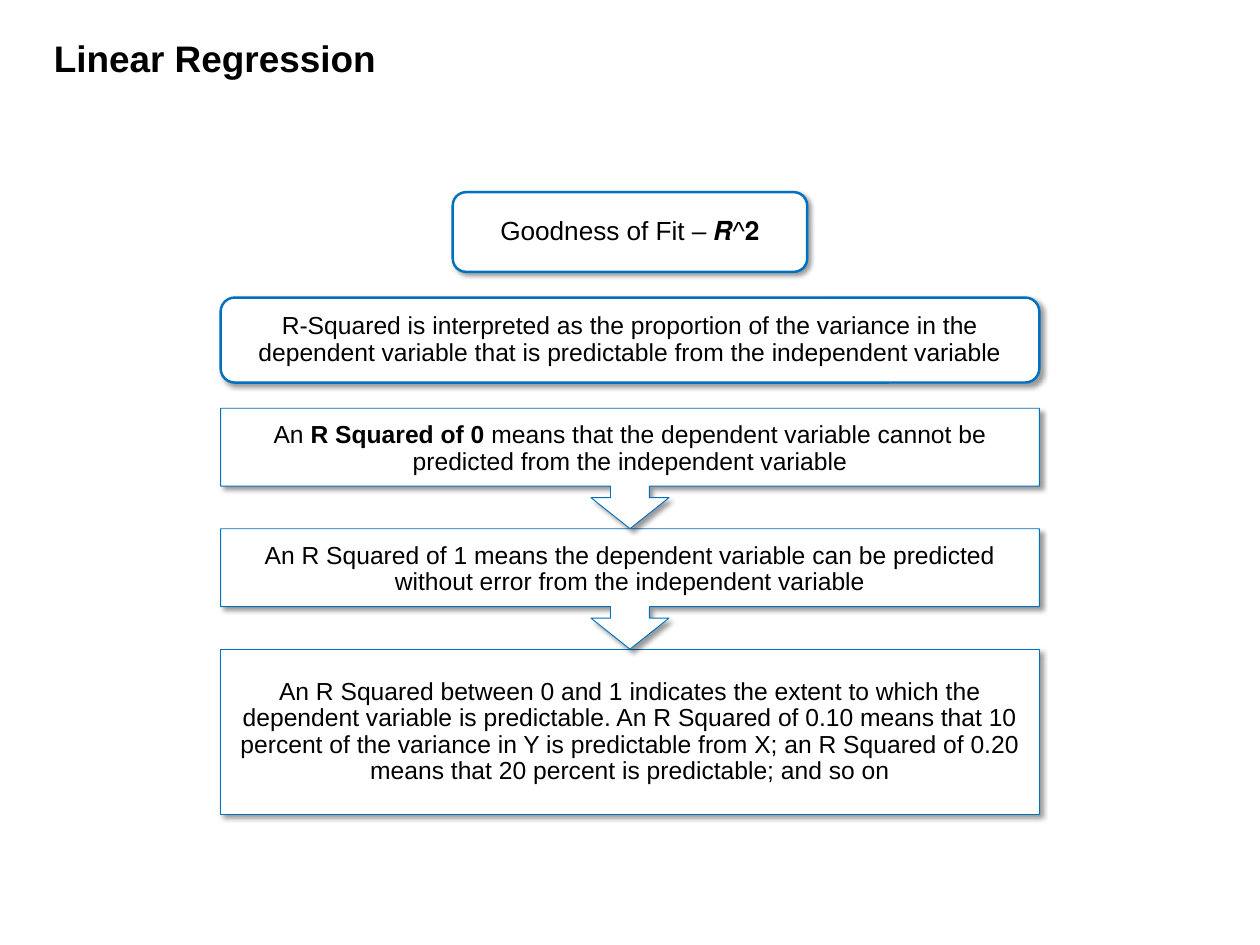
import pptx
import pptx.dml.color
import pptx.enum.shapes
import pptx.enum.text
import pptx.oxml
import pptx.oxml.ns
import pptx.util

Inches = pptx.util.Inches
Pt = pptx.util.Pt
SHAPES = pptx.enum.shapes.MSO_SHAPE
BLACK, WHITE, BLUE = "000000", "FFFFFF", "0070C0"
LEFT, WIDTH = 2.49, 9.24


def color(code):
    return pptx.dml.color.RGBColor.from_string(code)


class RegressionSlide:
    """Holds the style and the slide, and draws each kind of element."""

    font = "Arial"
    line_spacing = 0.9
    body_size = 20

    def __init__(self, slide):
        self.slide = slide

    def add_runs(self, frame, runs, size, align):
        frame.word_wrap = True
        paragraph = frame.paragraphs[0]
        paragraph.alignment = align
        paragraph.line_spacing = self.line_spacing
        for text, bold in runs:
            run = paragraph.add_run()
            run.text = text
            run.font.name = self.font
            run.font.size = Pt(size)
            run.font.bold = bold
            run.font.color.rgb = color(BLACK)

    def decorate(self, shape, line_width):
        shape.fill.solid()
        shape.fill.fore_color.rgb = color(WHITE)
        shape.line.color.rgb = color(BLUE)
        shape.line.width = Pt(line_width)
        shape.shadow.inherit = False
        effects = shape._element.spPr.find(pptx.oxml.ns.qn("a:effectLst"))
        effects.append(pptx.oxml.parse_xml(
            f'<a:outerShdw {pptx.oxml.ns.nsdecls("a")} blurRad="{Pt(4)}" dist="{Pt(3)}" '
            f'dir="{45 * 60000}" algn="tl" rotWithShape="0">'
            f'<a:srgbClr val="{BLACK}"><a:alpha val="40000"/></a:srgbClr></a:outerShdw>'))

    def fill_text(self, shape, runs, size, bottom=0.05):
        frame = shape.text_frame
        frame.vertical_anchor = pptx.enum.text.MSO_ANCHOR.MIDDLE
        frame.margin_top = Inches(min(bottom, 0.1))
        frame.margin_bottom = Inches(bottom)
        self.add_runs(frame, runs, size, pptx.enum.text.PP_ALIGN.CENTER)

    def title(self, text):
        box = self.slide.shapes.add_textbox(Inches(0.51), Inches(0.41), Inches(7.34), Inches(0.56))
        self.add_runs(box.text_frame, [(text, True)], 30, pptx.enum.text.PP_ALIGN.LEFT)

    def box(self, kind, left, top, width, height, runs, line_width, size=body_size):
        shape = self.slide.shapes.add_shape(
            kind, Inches(left), Inches(top), Inches(width), Inches(height))
        self.decorate(shape, line_width)
        self.fill_text(shape, runs, size)

    def arrow_box(self, top, runs):
        center, right = LEFT + WIDTH / 2, LEFT + WIDTH
        base, head, tip = top + 0.88, top + 1.01, top + 1.36
        stem, wing = 0.22, 0.44
        outline = [
            (right, base), (center + stem, base), (center + stem, head),
            (center + wing, head), (center, tip), (center - wing, head),
            (center - stem, head), (center - stem, base), (LEFT, base),
            (LEFT, top), (right, top),
        ]
        points = [(Inches(x), Inches(y)) for x, y in outline]
        builder = self.slide.shapes.build_freeform(*points[0])
        builder.add_line_segments(points[1:], close=True)
        shape = builder.convert_to_shape()
        self.decorate(shape, 0.75)
        self.fill_text(shape, runs, self.body_size, bottom=0.54)


def main():
    deck = pptx.Presentation()
    deck.slide_width, deck.slide_height = Inches(14.22), Inches(10.67)
    page = RegressionSlide(deck.slides.add_slide(deck.slide_layouts[6]))

    page.box(SHAPES.ROUNDED_RECTANGLE, 5.11, 2.17, 4, 0.9,
             [("Goodness of Fit – 𝑹^𝟐", False)], 2, size=21.3)
    page.box(SHAPES.ROUNDED_RECTANGLE, LEFT, 3.36, WIDTH, 0.96,
             [("R-Squared is interpreted as the proportion of the variance in the "
               "dependent variable that is predictable from the independent variable", False)], 2)
    page.box(SHAPES.RECTANGLE, LEFT, 7.33, WIDTH, 1.87,
             [("An R Squared between 0 and 1 indicates the extent to which the dependent "
               "variable is predictable. An R Squared of 0.10 means that 10 percent of the "
               "variance in Y is predictable from X; an R Squared of 0.20 means that "
               "20 percent is predictable; and so on", False)], 0.75)
    page.arrow_box(5.97, [
        ("An R Squared of 1 means the dependent variable can be predicted "
         "without error from the independent variable", False)])
    page.arrow_box(4.61, [
        ("An ", False), ("R Squared of 0", True),
        (" means that the dependent variable cannot be predicted "
         "from the independent variable", False)])
    page.title("Linear Regression")
    deck.save("out.pptx")


if __name__ == "__main__":
    main()
